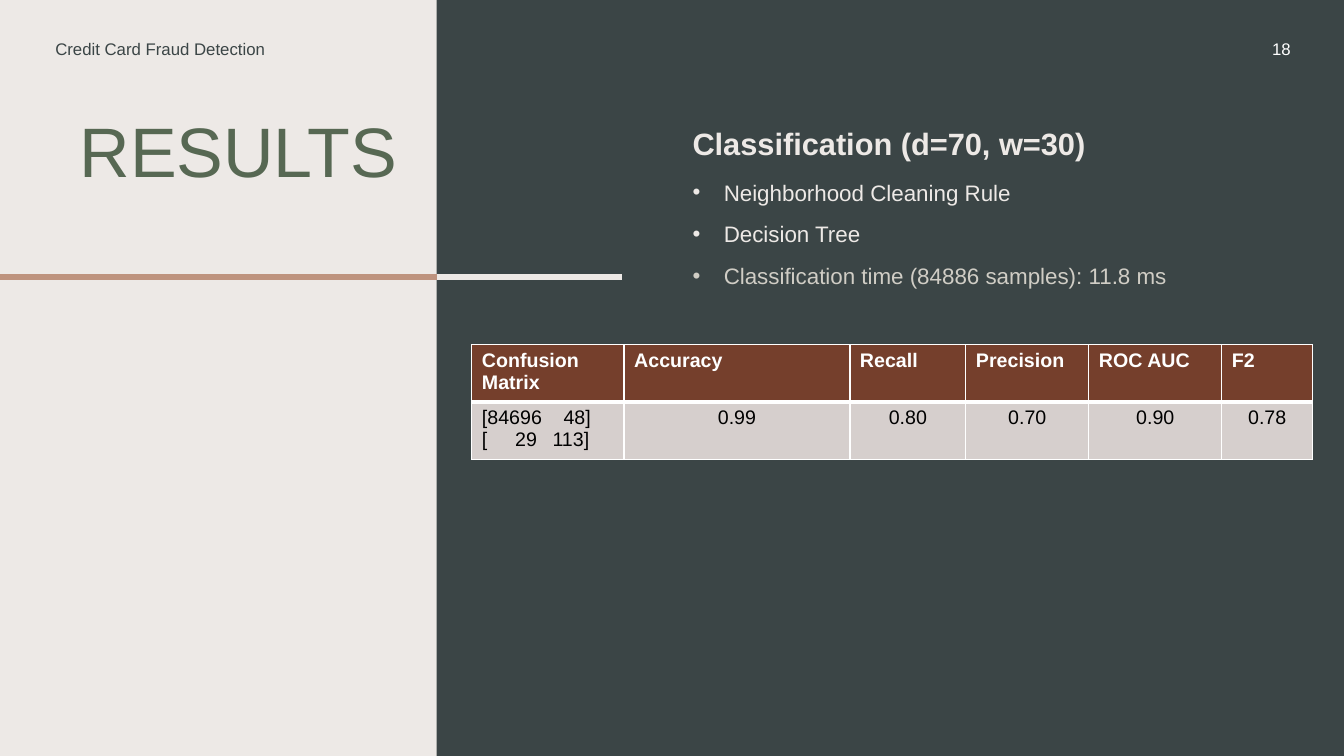
import pptx
import pptx.dml.color
import pptx.enum.shapes
import pptx.enum.text
import pptx.oxml
import pptx.oxml.ns
import pptx.util
from lxml import etree

Inches = pptx.util.Inches
Pt = pptx.util.Pt
ALIGN = pptx.enum.text.PP_ALIGN
ANCHOR = pptx.enum.text.MSO_ANCHOR

COLORS = {
    "paper": "EDE9E6", "slate": "3B4546", "clay": "BE937E", "green": "576853",
    "muted": "D0CDC5", "rust": "753F2C", "cell": "D6CFCD",
    "white": "FFFFFF", "black": "000000",
}


def color(name):
    return pptx.dml.color.RGBColor.from_string(COLORS[name])


def add_xml(parent, tag, **attributes):
    element = etree.SubElement(parent, pptx.oxml.ns.qn(tag))
    for name, value in attributes.items():
        element.set(name, str(value))
    return element


class SlideBuilder:
    font_name = "Arial"

    def __init__(self, presentation):
        self.slide = presentation.slides.add_slide(presentation.slide_layouts[6])

    def background(self, fill):
        self.slide.background.fill.solid()
        self.slide.background.fill.fore_color.rgb = color(fill)

    def panel(self, left, top, width, height, fill):
        shape = self.slide.shapes.add_shape(
            pptx.enum.shapes.MSO_SHAPE.RECTANGLE,
            Inches(left), Inches(top), Inches(width), Inches(height))
        shape.shadow.inherit = False
        shape.fill.solid()
        shape.fill.fore_color.rgb = color(fill)
        shape.line.fill.background()

    def rule(self, start, end, y, line_color, width=4.5):
        connector = self.slide.shapes.add_connector(
            pptx.enum.shapes.MSO_CONNECTOR.STRAIGHT,
            Inches(start), Inches(y), Inches(end), Inches(y))
        connector.line.color.rgb = color(line_color)
        connector.line.width = Pt(width)
        add_xml(connector._element.spPr, "a:effectLst")

    def add_words(self, paragraph, text, size, font_color, bold=False, **paragraph_format):
        run = paragraph.add_run()
        run.text = text
        run.font.color.rgb = color(font_color)
        font_format = {"name": self.font_name, "size": Pt(size), "bold": bold}
        for target, values in ((run.font, font_format), (paragraph, paragraph_format)):
            for name, value in values.items():
                setattr(target, name, value)

    def text_box(self, left, top, width, height, anchor=ANCHOR.TOP):
        box = self.slide.shapes.add_textbox(
            Inches(left), Inches(top), Inches(width), Inches(height))
        box.text_frame.word_wrap = True
        box.text_frame.vertical_anchor = anchor
        return box.text_frame

    def text(self, place, text, size, font_color, anchor=ANCHOR.TOP, **text_format):
        frame = self.text_box(*place, anchor)
        self.add_words(frame.paragraphs[0], text, size, font_color, **text_format)

    def bullets(self, place, items, size, indent):
        frame = self.text_box(*place)
        for index, (text, font_color) in enumerate(items):
            paragraph = frame.add_paragraph() if index else frame.paragraphs[0]
            self.add_words(paragraph, text, size, font_color,
                           line_spacing=1.5, space_before=Pt(1))
            properties = paragraph._p.get_or_add_pPr()
            properties.set("marL", str(Inches(indent)))
            properties.set("indent", str(-Inches(indent)))
            add_xml(properties, "a:buFont", typeface=self.font_name)
            add_xml(properties, "a:buChar", char="•")

    def borders(self, cell, widths):
        properties = cell._tc.get_or_add_tcPr()
        for side, width in widths.items():
            line = add_xml(properties, f"a:ln{side}", w=Pt(width))
            add_xml(add_xml(line, "a:solidFill"), "a:srgbClr", val=COLORS["white"])

    def table(self, left, top, column_widths, row_height, rows, size):
        frame = self.slide.shapes.add_table(
            len(rows), len(column_widths), Inches(left), Inches(top),
            Inches(sum(column_widths)), Inches(row_height * len(rows)))
        table = frame.table
        for column, width in zip(table.columns, column_widths):
            column.width = Inches(width)
        for row_index, values in enumerate(rows):
            table.rows[row_index].height = Inches(row_height)
            header = row_index == 0
            for column_index, value in enumerate(values):
                cell = table.cell(row_index, column_index)
                self.borders(cell, {"L": 1, "R": 1, "T": 1 if header else 3,
                                    "B": 3 if header else 1})
                cell.fill.solid()
                cell.fill.fore_color.rgb = color("rust" if header else "cell")
                centered = not header and column_index > 0
                # A list of lines holds text with its own tab stops
                lines = value if isinstance(value, list) else [(value, [])]
                for line_index, (text, stops) in enumerate(lines):
                    paragraph = (cell.text_frame.add_paragraph() if line_index
                                 else cell.text_frame.paragraphs[0])
                    self.add_words(paragraph, text, size, "white" if header else "black",
                                   bold=header,
                                   alignment=ALIGN.CENTER if centered else ALIGN.LEFT)
                    if stops:
                        tabs = add_xml(paragraph._p.get_or_add_pPr(), "a:tabLst")
                        for stop in stops:
                            add_xml(tabs, "a:tab", pos=Inches(stop), algn="l")


def main():
    presentation = pptx.Presentation()
    presentation.slide_width = Inches(13.33)
    presentation.slide_height = Inches(7.5)
    builder = SlideBuilder(presentation)

    # Backdrop and divider
    builder.background("paper")
    builder.panel(4.33, 0, 9, 7.5, "slate")
    builder.rule(0, 4.33, 2.75, "clay")
    builder.rule(4.33, 6.17, 2.75, "paper")

    # Title and heading
    builder.text((0.69, 1.18, 3.43, 1.84), "RESULTS", 50, "green", line_spacing=0.8)
    builder.text((6.77, 1.19, 5.28, 0.54), "Classification (d=70, w=30)",
                 22, "paper", bold=True)

    # Page number and running header
    builder.text((11.07, 0.33, 1.83, 0.3), "18", 12, "white",
                 ANCHOR.MIDDLE, alignment=ALIGN.RIGHT)
    builder.text((0.45, 0.33, 2.37, 0.3), "Credit Card Fraud Detection",
                 12, "slate", ANCHOR.MIDDLE)

    # Method
    builder.bullets((6.77, 1.59, 5.22, 1.38), [
        ("Neighborhood Cleaning Rule", "paper"),
        ("Decision Tree", "paper"),
        ("Classification time (84886 samples): 11.8 ms", "muted"),
    ], size=16, indent=0.31)

    # Scores
    confusion_matrix = [("[84696\t48]", [0.81]), ("[\t29\t113]", [0.33, 0.7])]
    builder.table(4.68, 3.42, [1.51, 2.24, 1.15, 1.22, 1.32, 0.9], 0.54, [
        ["Confusion Matrix", "Accuracy", "Recall", "Precision", "ROC AUC", "F2"],
        [confusion_matrix, "0.99", "0.80", "0.70", "0.90", "0.78"],
    ], size=14)

    presentation.save("out.pptx")


if __name__ == "__main__":
    main()
